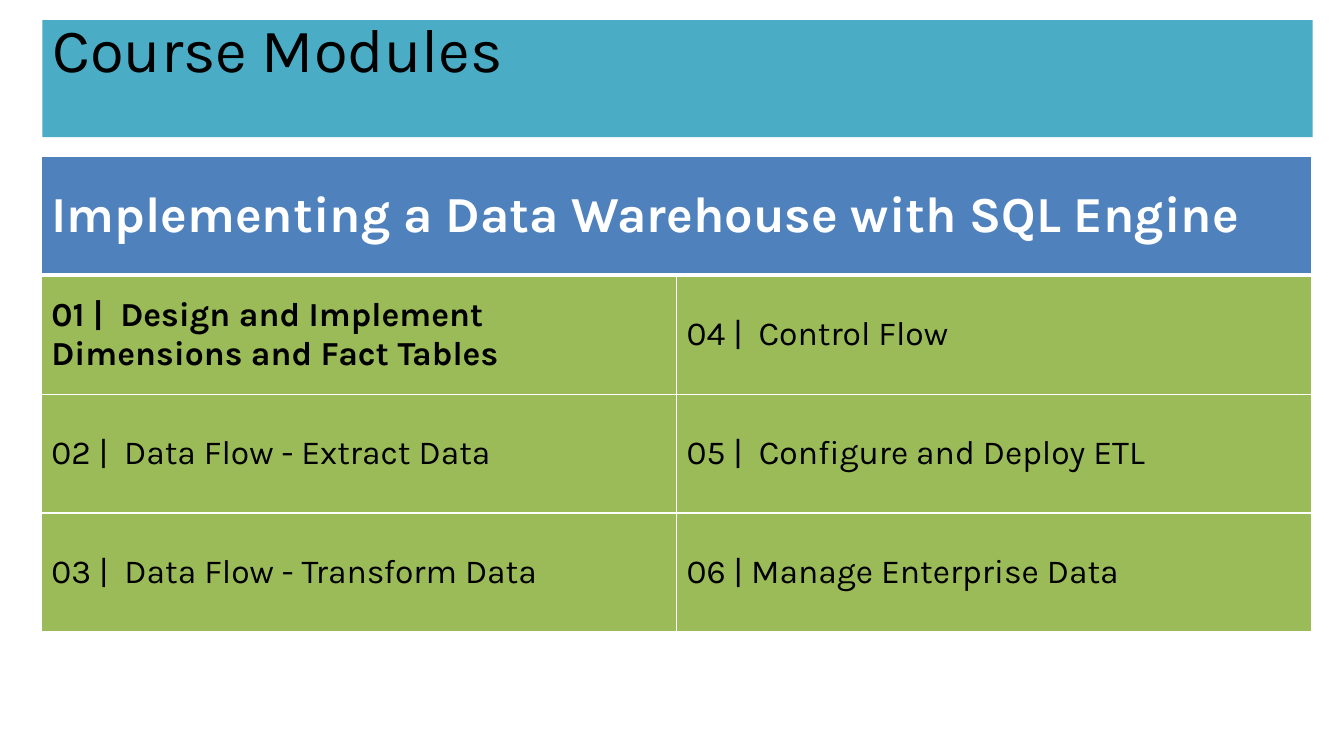
from lxml.etree import SubElement
from pptx import Presentation
from pptx.dml.color import RGBColor
from pptx.enum.text import MSO_ANCHOR as Anchor, MSO_AUTO_SIZE as AutoSize, PP_ALIGN as Align
from pptx.oxml.ns import qn
from pptx.util import Inches, Pt

BLACK = RGBColor(0x00, 0x00, 0x00)
WHITE = RGBColor(0xFF, 0xFF, 0xFF)
TEAL = RGBColor(0x4B, 0xAC, 0xC6)
BLUE = RGBColor(0x4F, 0x81, 0xBD)
GREEN = RGBColor(0x9B, 0xBB, 0x59)

TABLE_WIDTH = 12.6
ROW_HEIGHT = 1.18
COURSE = "Implementing a Data Warehouse with SQL Engine"
MODULES = [
    ("01 |  Design and Implement Dimensions and Fact Tables", "04 |  Control Flow"),
    ("02 |  Data Flow - Extract Data", "05 |  Configure and Deploy ETL"),
    ("03 |  Data Flow - Transform Data", "06 | Manage Enterprise Data"),
]


def write_text(frame, text, color, **font_format):
    """Put one formatted run into a text frame."""
    paragraph = frame.paragraphs[0]
    paragraph.alignment = Align.LEFT
    run = paragraph.add_run()
    run.text = text
    run.font.color.rgb = color
    for name, value in {"name": "Karla", "bold": False, **font_format}.items():
        setattr(run.font, name, value)
    return paragraph


def add_title(slide, text):
    """Place the title placeholder as a coloured band."""
    title = slide.shapes.title
    frame = title.text_frame
    position = {"left": 0.42, "top": 0.2, "width": TABLE_WIDTH, "height": 1.16}
    for name, value in position.items():
        setattr(title, name, Inches(value))
    title.fill.solid()
    title.fill.fore_color.rgb = TEAL
    layout = {"vertical_anchor": Anchor.TOP, "word_wrap": True, "auto_size": AutoSize.NONE}
    for name, value in layout.items():
        setattr(frame, name, value)
    write_text(frame, text, BLACK, size=Pt(44)).line_spacing = 0.8


def set_borders(cell, **widths):
    """Draw white cell borders, 1 point wide unless a side is given."""
    properties = cell._tc.get_or_add_tcPr()
    for index, side in enumerate("LRTB"):
        line = SubElement(properties, qn(f"a:ln{side}"), w=str(Pt(widths.get(side, 1))))
        fill = SubElement(line, qn("a:solidFill"))
        SubElement(fill, qn("a:srgbClr"), val=str(WHITE))
        properties.insert(index, line)


def format_cell(cell, fill, **widths):
    """Fill a cell, centre its text vertically and border it."""
    cell.fill.solid()
    cell.fill.fore_color.rgb = fill
    cell.vertical_anchor = Anchor.MIDDLE
    set_borders(cell, **widths)


def add_module_table(slide):
    """Add the course heading above the grid of modules."""
    row_count = len(MODULES) + 1
    table = slide.shapes.add_table(
        row_count, 2, Inches(0.41), Inches(1.55),
        Inches(TABLE_WIDTH), Inches(ROW_HEIGHT * row_count),
    ).table
    heading = table.cell(0, 0)
    heading.merge(table.cell(0, 1))
    for column in range(2):
        format_cell(table.cell(0, column), BLUE, B=3)
    write_text(heading.text_frame, COURSE, WHITE, size=Pt(36), bold=True)
    for row, modules in enumerate(MODULES, start=1):
        for column, module in enumerate(modules):
            cell = table.cell(row, column)
            format_cell(cell, GREEN, T=3 if row == 1 else 1)
            current = row == 1 and column == 0
            write_text(cell.text_frame, module, BLACK, size=Pt(24), bold=current)


def main():
    """Build and save the course modules slide."""
    presentation = Presentation()
    presentation.slide_width = Inches(13.33)
    presentation.slide_height = Inches(7.5)
    slide = presentation.slides.add_slide(presentation.slide_layouts[5])
    add_title(slide, "Course Modules")
    add_module_table(slide)
    presentation.save("out.pptx")


if __name__ == "__main__":
    main()
